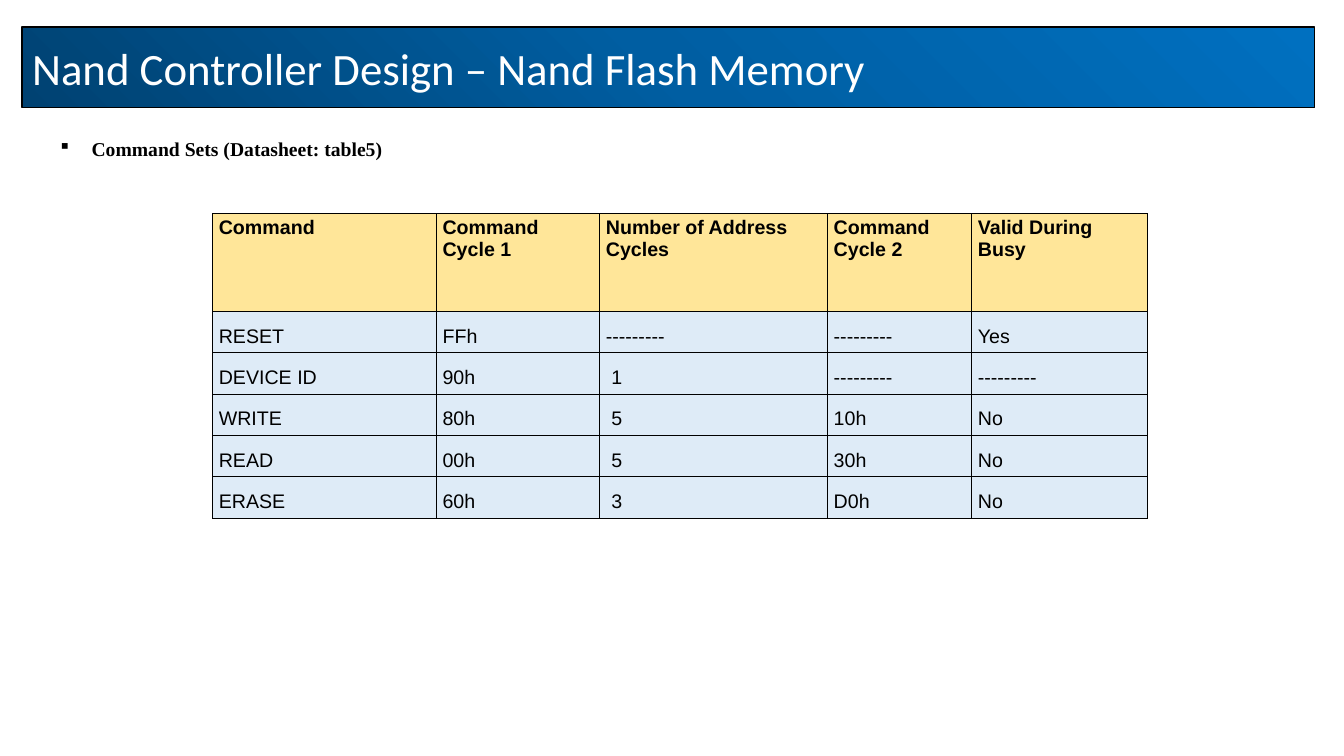
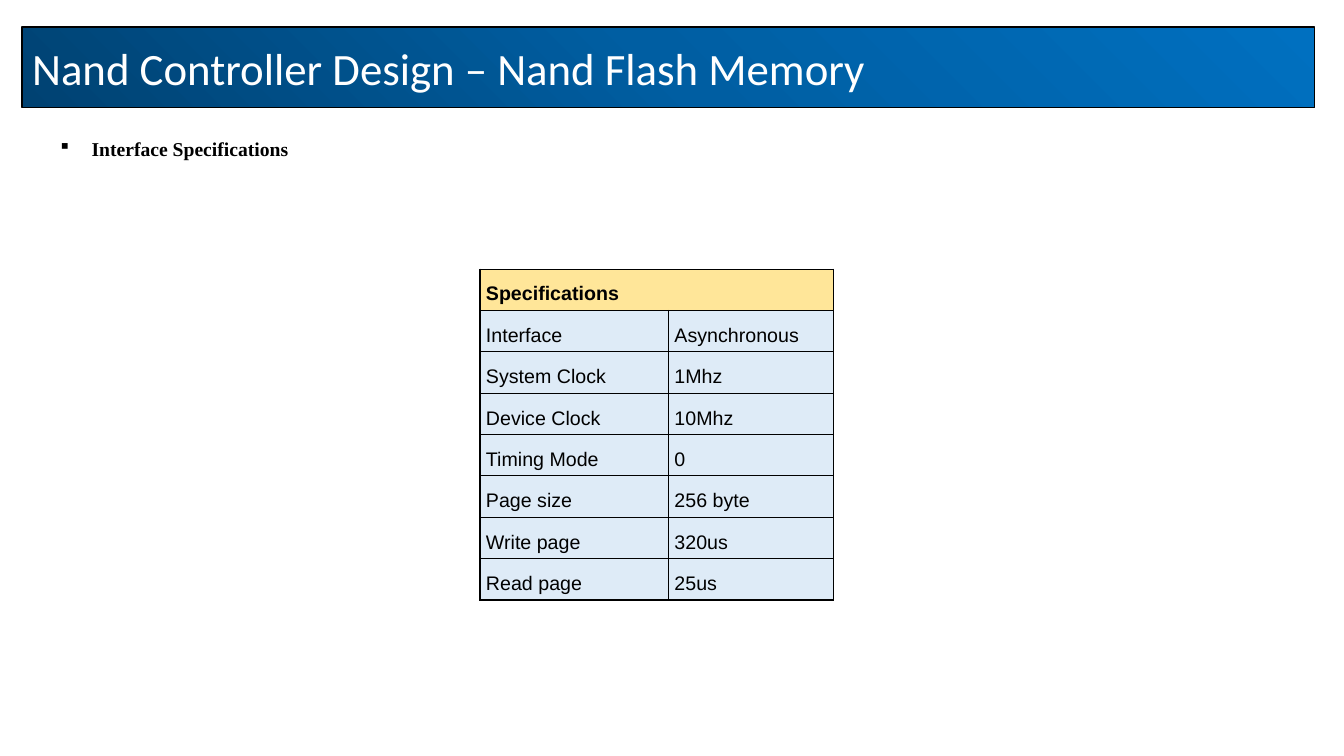
from lxml import etree
from pptx import Presentation
from pptx.dml.color import RGBColor
from pptx.enum.shapes import MSO_SHAPE as SHAPE
from pptx.enum.text import MSO_ANCHOR as ANCHOR, PP_ALIGN as ALIGN
from pptx.oxml import parse_xml
from pptx.oxml.ns import nsdecls, qn
from pptx.util import Inches, Pt

BLACK = RGBColor(0x00, 0x00, 0x00)
WHITE = RGBColor(0xFF, 0xFF, 0xFF)
HEADER_FILL = RGBColor(0xFF, 0xE6, 0x99)
BODY_FILL = RGBColor(0xDE, 0xEB, 0xF7)
BAND_STOPS = [(0, RGBColor(0x00, 0x42, 0x72)), (50, RGBColor(0x00, 0x5E, 0xA2)),
              (100, RGBColor(0x00, 0x70, 0xC0))]

TITLE = "Nand Controller Design – Nand Flash Memory"
ROW_HEIGHT = 0.38
LEFT_ALIGNED = {"Number of Address Cycles", "Valid During Busy", "READ", "Write page"}

SLIDES = [
    {
        "heading": "Command Sets (Datasheet: table5)",
        "at": (2.11, 2.12),
        "cols": [2.22, 1.62, 2.26, 1.43, 1.74],
        "header_height": 0.97,
        "header_spaced": False,
        "rows": [
            ["Command", "Command Cycle 1", "Number of Address Cycles",
             "Command Cycle 2", "Valid During Busy"],
            ["RESET", "FFh", "---------", "---------", "Yes"],
            ["DEVICE ID", "90h", " 1", "---------", "---------"],
            ["WRITE", "80h", " 5", "10h", "No"],
            ["READ", "00h", " 5", "30h", "No"],
            ["ERASE", "60h", " 3", "D0h", "No"],
        ],
    },
    {
        "heading": "Interface Specifications",
        "at": (4.76, 2.67),
        "cols": [1.87, 1.64],
        "header_height": ROW_HEIGHT,
        "header_spaced": True,
        "rows": [
            ["Specifications"],
            ["Interface", "Asynchronous"],
            ["System Clock", "1Mhz"],
            ["Device Clock", "10Mhz"],
            ["Timing Mode", "0"],
            ["Page size", "256 byte"],
            ["Write page", "320us"],
            ["Read page", "25us"],
        ],
    },
]


def set_font(p, name, size, color, bold=False):
    p.font.name = name
    p.font.size = Pt(size)
    p.font.color.rgb = color
    p.font.bold = bold


def style_cell(cell, fill):
    cell.margin_left = cell.margin_right = Inches(0.06)
    cell.margin_top = cell.margin_bottom = Inches(0.03)
    tc_pr = cell._tc.get_or_add_tcPr()
    for side in ("lnL", "lnR", "lnT", "lnB"):
        tc_pr.append(parse_xml(
            f'<a:{side} {nsdecls("a")} w="{Pt(1)}"><a:solidFill>'
            f'<a:srgbClr val="{BLACK}"/></a:solidFill></a:{side}>'))
    cell.fill.solid()
    cell.fill.fore_color.rgb = fill


prs = Presentation()
prs.slide_width = Inches(13.33)
prs.slide_height = Inches(7.5)

for content in SLIDES:
    s = prs.slides.add_slide(prs.slide_layouts[6])

    # Bulleted heading
    tf = s.shapes.add_textbox(Inches(0.5), Inches(1.31), Inches(4.36), Inches(0.34)).text_frame
    tf.word_wrap = True
    p = tf.paragraphs[0]
    p.text = content["heading"]
    set_font(p, "Times New Roman", 14, BLACK, bold=True)
    p_pr = p._p.get_or_add_pPr()
    p_pr.set("marL", str(Inches(0.31)))
    p_pr.set("indent", str(-Inches(0.31)))
    bullet_font = etree.Element(qn("a:buFont"), typeface="Wingdings")
    bullet = etree.Element(qn("a:buChar"), char="§")
    p_pr.insert(0, bullet_font)
    p_pr.insert(1, bullet)

    # Table
    rows, cols = content["rows"], content["cols"]
    heights = [content["header_height"]] + [ROW_HEIGHT] * (len(rows) - 1)
    left, top = content["at"]
    table = s.shapes.add_table(len(rows), len(cols), Inches(left), Inches(top),
                               Inches(sum(cols)), Inches(sum(heights))).table
    for column, width in zip(table.columns, cols):
        column.width = Inches(width)
    for i, (texts, height) in enumerate(zip(rows, heights)):
        table.rows[i].height = Inches(height)
        header = i == 0
        for j in range(len(cols)):
            style_cell(table.cell(i, j), HEADER_FILL if header else BODY_FILL)
        for j, text in enumerate(texts):
            p = table.cell(i, j).text_frame.paragraphs[0]
            p.text = text
            p.alignment = ALIGN.LEFT if text in LEFT_ALIGNED else ALIGN.JUSTIFY
            set_font(p, "Arial", 14, BLACK, bold=header)
            if not header or content["header_spaced"]:
                p.line_spacing = 1.5
                p.space_after = Pt(8)
        if len(texts) < len(cols):
            table.cell(i, 0).merge(table.cell(i, len(cols) - 1))

    # Title band
    band = s.shapes.add_shape(SHAPE.RECTANGLE, Inches(0.22), Inches(0.27),
                              Inches(12.82), Inches(0.8))
    band.shadow.inherit = False
    stops = "".join(f'<a:gs pos="{pos * 1000}"><a:srgbClr val="{color}"/></a:gs>'
                    for pos, color in BAND_STOPS)
    band._element.spPr.insert(2, parse_xml(
        f'<a:gradFill {nsdecls("a")} rotWithShape="1"><a:gsLst>{stops}</a:gsLst>'
        '<a:path path="circle"><a:fillToRect t="100000" r="100000"/></a:path></a:gradFill>'))
    band.line.color.rgb = BLACK
    band.line.width = Pt(1)
    tf = band.text_frame
    tf.word_wrap = True
    tf.vertical_anchor = ANCHOR.MIDDLE
    p = tf.paragraphs[0]
    p.text = TITLE
    p.alignment = ALIGN.LEFT
    set_font(p, "Calibri", 32, WHITE)

prs.save("out.pptx")
